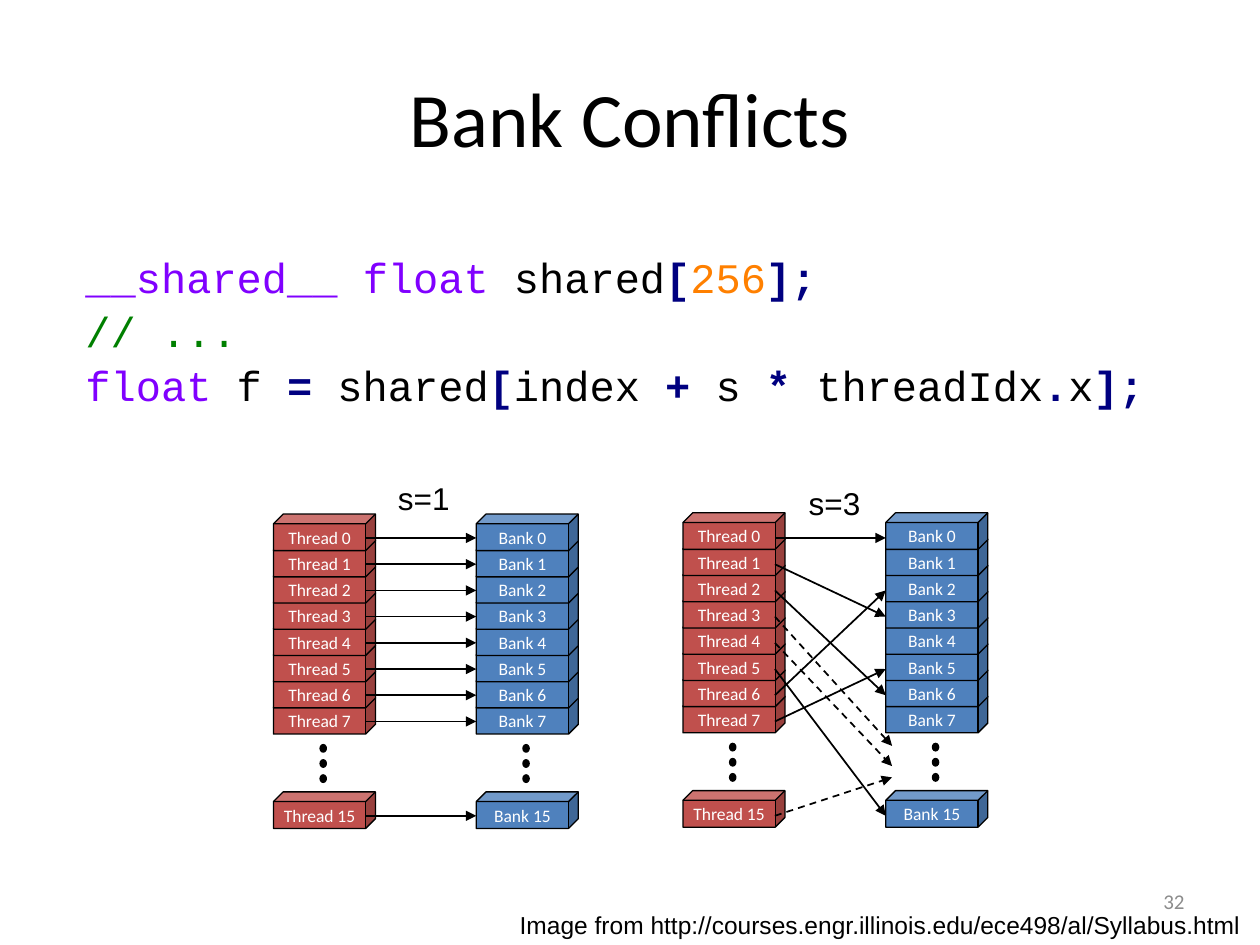
import pptx
import pptx.util
import pptx.dml.color
import pptx.enum.dml
import pptx.enum.shapes
import pptx.enum.text
from lxml import etree

Inches = pptx.util.Inches
Shape = pptx.enum.shapes.MSO_SHAPE
Align = pptx.enum.text.PP_ALIGN
Anchor = pptx.enum.text.MSO_ANCHOR

COLORS = {
    "text": "000000", "keyword": "8000FF", "operator": "000080",
    "number": "FF8000", "comment": "008000", "thread": "C0504D",
    "bank": "4F81BD", "label": "FFFFFF", "page": "8C8C8C",
}

# Content
TITLE = "Bank Conflicts"
CODE = [
    [("__shared__ float", "keyword"), (" shared", "text"), ("[", "operator"),
     ("256", "number"), ("];", "operator")],
    [("// ...", "comment")],
    [("float", "keyword"), (" f ", "text"), ("=", "operator"), (" shared", "text"),
     ("[", "operator"), ("index ", "text"), ("+", "operator"), (" s ", "text"),
     ("*", "operator"), (" threadIdx", "text"), (".", "operator"), ("x", "text"),
     ("];", "operator")],
]
SOURCE = "Image from http://courses.engr.illinois.edu/ece498/al/Syllabus.html "
PAGE_NUMBER = "32"

# Rows of each stack: index and its distance from the top in row steps
ROWS = {**{index: index for index in range(8)}, 15: 10.6}
# Arrows: thread -> bank; "hidden" targets are a height among the dots
PANELS = [
    {"label": "s=1", "label_at": (3.06, 3.75), "left": 2.17, "top": 4.08,
     "arrows": {index: index for index in ROWS}, "hidden": {}},
    {"label": "s=3", "label_at": (6.32, 3.79), "left": 5.42, "top": 4.07,
     "arrows": {0: 0, 1: 3, 2: 6, 5: 15, 6: 2, 7: 5},
     "hidden": {3: 5.92, 4: 6.08, 15: 6.17}},
]

# Grid, in inches
STEP = 0.208
CUBE_WIDTH, CUBE_HEIGHT, FRONT_WIDTH = 0.81, 0.29, 0.73
BANK_OFFSET = 1.61
ARROW_TOP = 4.27
DOT_OFFSET, DOT_TOP, DOT_STEP = 0.37, 1.83, 0.12


def rgb(name):
    return pptx.dml.color.RGBColor.from_string(COLORS[name])


def format_text(box, paragraphs, size, font, align=Align.LEFT, spacing=None, **frame_format):
    frame = box.text_frame
    for key, value in {"word_wrap": True, **frame_format}.items():
        setattr(frame, key, value)
    for number, spans in enumerate(paragraphs):
        para = frame.add_paragraph() if number else frame.paragraphs[0]
        para.alignment = align
        if spacing:
            para.line_spacing = spacing
        for text, color in spans:
            span = para.add_run()
            span.text = text
            values = {"size": pptx.util.Pt(size), "name": font,
                      "bold": color == "operator"}
            for key, value in values.items():
                setattr(span.font, key, value)
            span.font.color.rgb = rgb(color)


def add_text(page, place, paragraphs, size, font, **options):
    box = page.shapes.add_textbox(*map(Inches, place))
    format_text(box, paragraphs, size, font, **options)


def add_solid(page, kind, place, color):
    shape = page.shapes.add_shape(kind, *map(Inches, place))
    shape.shadow.inherit = False
    shape.fill.solid()
    shape.fill.fore_color.rgb = rgb(color)
    shape.line.color.rgb = rgb("text")
    shape.line.width = pptx.util.Pt(0.75)
    return shape


def add_stack(page, left, top, name):
    # Lower cubes go first, so that each one covers the top of the next
    for index, row in reversed(ROWS.items()):
        place = (left, top + row * STEP, CUBE_WIDTH, CUBE_HEIGHT)
        cube = add_solid(page, Shape.CUBE, place, name)
        cube.adjustments[0] = 0.266
        format_text(cube, [[(f"{name.title()} {index}", "label")]], 10, "Calibri",
                    align=Align.CENTER, word_wrap=False,
                    vertical_anchor=Anchor.MIDDLE, margin_top=0, margin_bottom=0)
    for number in range(3):
        place = (left + DOT_OFFSET, top + DOT_TOP + number * DOT_STEP, 0.05, 0.06)
        add_solid(page, Shape.OVAL, place, "text")


def add_arrow(page, start, end, dashed=False):
    arrow = page.shapes.add_connector(
        pptx.enum.shapes.MSO_CONNECTOR.STRAIGHT, *map(Inches, start + end))
    arrow.line.color.rgb = rgb("text")
    arrow.line.width = pptx.util.Pt(1)
    if dashed:
        arrow.line.dash_style = pptx.enum.dml.MSO_LINE.DASH
    main = pptx.oxml.ns.qn
    head = etree.SubElement(arrow.line._get_or_add_ln(), main("a:tailEnd"))
    head.set("type", "triangle")
    etree.SubElement(arrow._element.spPr, main("a:effectLst"))


def add_panel(page, panel):
    left, top = panel["left"], panel["top"]
    bank_left = left + BANK_OFFSET
    add_stack(page, bank_left, top, "bank")
    add_stack(page, left, top, "thread")
    heights = {index: ARROW_TOP + row * STEP for index, row in ROWS.items()}
    for thread, height in heights.items():
        start = (left + FRONT_WIDTH, height)
        if thread in panel["hidden"]:
            add_arrow(page, start, (bank_left + 0.05, panel["hidden"][thread]), True)
        else:
            add_arrow(page, start, (bank_left, heights[panel["arrows"][thread]]))
    add_text(page, panel["label_at"] + (0.61, 0.4), [[(panel["label"], "text")]],
             18, "Arial", word_wrap=False)


def main():
    deck = pptx.Presentation()
    deck.slide_width, deck.slide_height = Inches(10), Inches(7.5)
    page = deck.slides.add_slide(deck.slide_layouts[5])

    # Title and code
    title = page.shapes.title
    title.left, title.top, title.width, title.height = map(Inches, (0.5, 0.3, 9, 1.25))
    format_text(title, [[(TITLE, "text")]], 44, "Calibri", align=Align.CENTER,
                vertical_anchor=Anchor.MIDDLE)
    add_text(page, (0.58, 1.92, 9.42, 1.67), CODE, 24, "Courier New", spacing=1.07)

    # Access patterns
    for panel in PANELS:
        add_panel(page, panel)

    # Source and page number
    add_text(page, (0, 7.17, 10, 0.34), [[(SOURCE, "text")]], 14, "Arial",
             align=Align.RIGHT)
    add_text(page, (7.17, 6.95, 2.33, 0.4), [[(PAGE_NUMBER, "page")]], 12, "Calibri",
             align=Align.RIGHT, vertical_anchor=Anchor.MIDDLE)
    deck.save("out.pptx")


if __name__ == "__main__":
    main()
